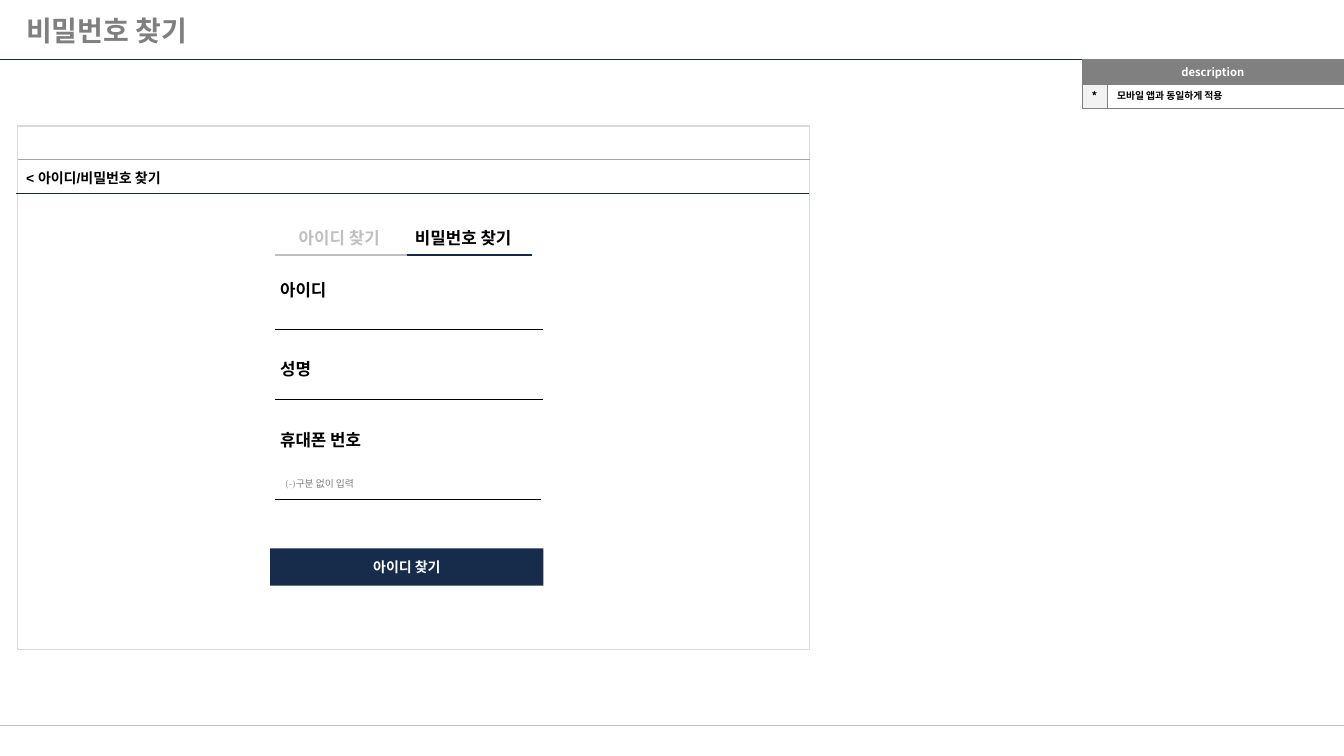
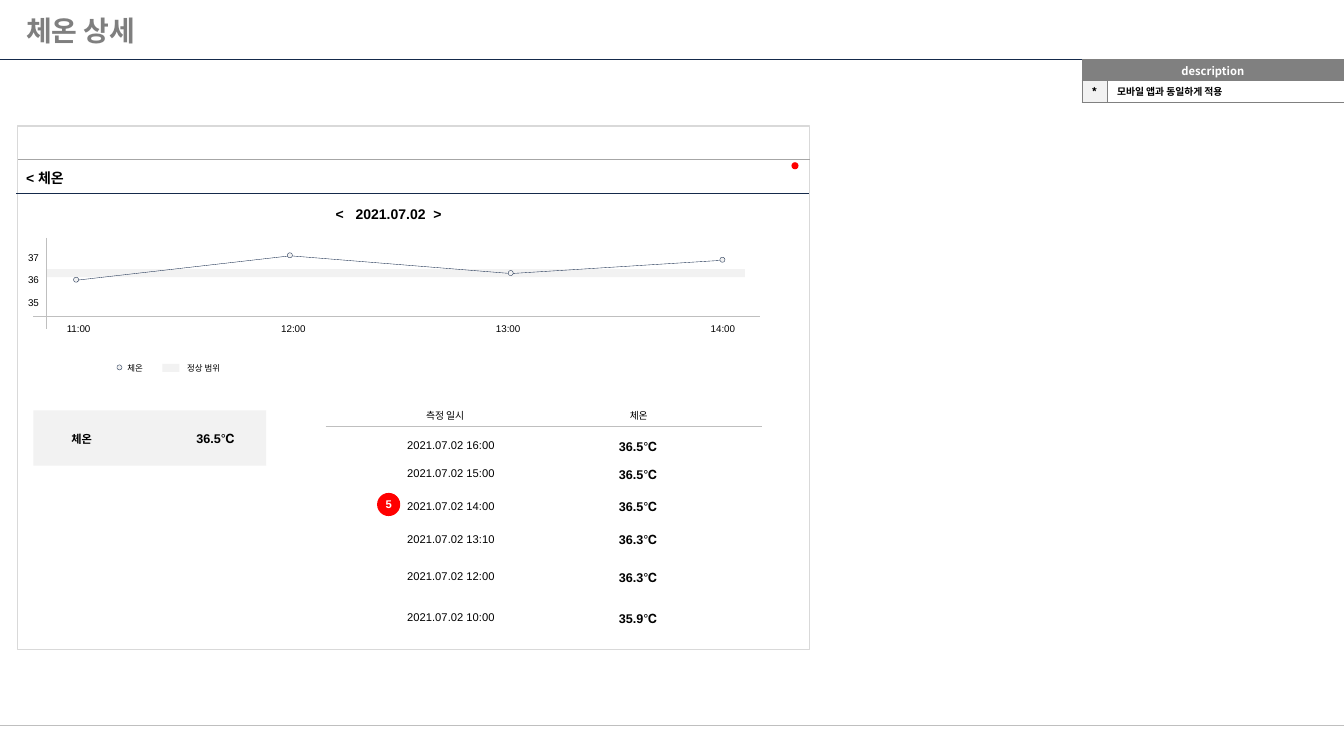
from dataclasses import dataclass
from itertools import pairwise

from lxml import etree
from pptx import Presentation
from pptx import util as u
from pptx.dml.color import RGBColor
from pptx.enum import shapes, text
from pptx.oxml import ns

COLORS = {
    "black": "000000", "white": "FFFFFF", "navy": "152A4B", "button": "172B4B",
    "title": "7F7F7F", "gray": "808080", "rule": "A6A6A6", "silver": "BFBFBF",
    "frame": "D9D9D9", "pale": "F2F2F2", "red": "FF0000",
}
KOREAN = "Noto Sans CJK KR"
LEFT, CENTER = text.PP_ALIGN.LEFT, text.PP_ALIGN.CENTER
TOP, MIDDLE = text.MSO_ANCHOR.TOP, text.MSO_ANCHOR.MIDDLE
RECTANGLE, OVAL = shapes.MSO_SHAPE.RECTANGLE, shapes.MSO_SHAPE.OVAL


@dataclass(frozen=True)
class Box:
    left: float
    top: float
    width: float
    height: float

    def lengths(self) -> list:
        return [u.Inches(v) for v in (self.left, self.top, self.width, self.height)]


@dataclass(frozen=True)
class Field:
    label: str
    label_top: float
    line_top: float
    line_right: float = 5.39


@dataclass(frozen=True)
class Measurement:
    time: str
    value: str
    top: float


@dataclass(frozen=True)
class Point:
    time: str
    x: float
    degrees: float


FIELDS = [
    Field("아이디", 2.73, 3.27),
    Field("성명", 3.51, 3.96),
    Field("휴대폰 번호", 4.21, 4.95, 5.37),
]
MEASUREMENTS = [
    Measurement("16:00", "36.5℃", 4.3),
    Measurement("15:00", "36.5℃", 4.58),
    Measurement("14:00", "36.5℃", 4.9),
    Measurement("13:10", "36.3℃", 5.23),
    Measurement("12:00", "36.3℃", 5.6),
    Measurement("10:00", "35.9℃", 6.01),
]
POINTS = [
    Point("11:00", 0.76, 36.0),
    Point("12:00", 2.88, 37.1),
    Point("13:00", 5.07, 36.3),
    Point("14:00", 7.17, 36.9),
]


def color(name: str) -> RGBColor:
    return RGBColor.from_string(COLORS[name])


# Drawing helpers
def write(frame, content: str, *, size: float, font: str = "Arial", ink: str = "black",
          bold: bool = False, align=LEFT, tabs: tuple = ()) -> None:
    paragraph = frame.paragraphs[0]
    paragraph.alignment = align
    if tabs:
        tab_list = etree.SubElement(paragraph._p.get_or_add_pPr(), ns.qn("a:tabLst"))
        for position in tabs:
            etree.SubElement(tab_list, ns.qn("a:tab"), pos=str(u.Inches(position)), algn="l")
    run = paragraph.add_run()
    run.text = content
    run.font.name = font
    run.font.size = u.Pt(size)
    run.font.bold = bold
    run.font.color.rgb = color(ink)
    etree.SubElement(run._r.get_or_add_rPr(), ns.qn("a:ea"), typeface=KOREAN)


def add_text(slide, box: Box, content: str, *, anchor=TOP, **style) -> None:
    frame = slide.shapes.add_textbox(*box.lengths()).text_frame
    frame.word_wrap = True
    frame.vertical_anchor = anchor
    write(frame, content, **style)


def add_shape(slide, kind, box: Box, fill: str, line: str | None = None, width: float = 0.25):
    shape = slide.shapes.add_shape(kind, *box.lengths())
    shape.shadow.inherit = False
    shape.fill.solid()
    shape.fill.fore_color.rgb = color(fill)
    if line:
        shape.line.color.rgb = color(line)
        shape.line.width = u.Pt(width)
    else:
        shape.line.fill.background()
    return shape


def add_label_shape(slide, kind, box: Box, fill: str, content: str, **style) -> None:
    frame = add_shape(slide, kind, box, fill).text_frame
    frame.margin_left = frame.margin_right = frame.margin_top = frame.margin_bottom = 0
    frame.vertical_anchor = MIDDLE
    frame.word_wrap = False
    write(frame, content, ink="white", bold=True, align=CENTER, **style)


def add_line(slide, x1: float, y1: float, x2: float, y2: float,
             ink: str, width: float = 0.25) -> None:
    ends = [u.Inches(v) for v in (x1, y1, x2, y2)]
    connector = slide.shapes.add_connector(shapes.MSO_CONNECTOR.STRAIGHT, *ends)
    connector.line.color.rgb = color(ink)
    connector.line.width = u.Pt(width)
    etree.SubElement(connector._element.spPr, ns.qn("a:effectLst"))


def add_marker(slide, x: float, y: float) -> None:
    add_shape(slide, OVAL, Box(x - 0.03, y - 0.03, 0.05, 0.05), "pale", "button")


# Description table
def format_cell(cell, fill: str | None, margin: float) -> None:
    cell.vertical_anchor = MIDDLE
    cell.margin_left = cell.margin_right = u.Inches(margin)
    cell.margin_top = cell.margin_bottom = u.Inches(0.02)
    properties = cell._tc.get_or_add_tcPr()
    for side in ("lnL", "lnR", "lnT", "lnB"):
        border = etree.SubElement(properties, ns.qn(f"a:{side}"), w=str(u.Pt(0.25)))
        solid = etree.SubElement(border, ns.qn("a:solidFill"))
        etree.SubElement(solid, ns.qn("a:srgbClr"), val=COLORS["gray"])
    if fill:
        cell.fill.solid()
        cell.fill.fore_color.rgb = color(fill)
    else:
        cell.fill.background()


def add_description(slide, row_height: float) -> None:
    box = Box(10.73, 0.59, 2.6, 2 * row_height)
    table = slide.shapes.add_table(2, 2, *box.lengths()).table
    for column, width in zip(table.columns, (0.25, 2.35)):
        column.width = u.Inches(width)
    for row in table.rows:
        row.height = u.Inches(row_height)
    header, star, note = table.cell(0, 0), table.cell(1, 0), table.cell(1, 1)
    for cell, fill, margin in ((header, "gray", 0.04), (table.cell(0, 1), "gray", 0.04),
                               (star, "pale", 0.04), (note, None, 0.1)):
        format_cell(cell, fill, margin)
    header.merge(table.cell(0, 1))
    style = {"font": KOREAN, "bold": True}
    write(header.text_frame, "description", size=8, ink="white", align=CENTER, **style)
    write(star.text_frame, "*", size=8, align=CENTER, **style)
    write(note.text_frame, "모바일 앱과 동일하게 적용", size=7, **style)


# Parts shared by every slide
def add_page(presentation, title: str, screen_title: str, row_height: float):
    slide = presentation.slides.add_slide(presentation.slide_layouts[6])
    add_line(slide, 0, 7.2, 13.33, 7.2, "silver", 1)
    add_line(slide, 0, 0.59, 13.33, 0.59, "navy", 0.75)
    add_shape(slide, RECTANGLE, Box(0.17, 1.25, 7.86, 5.19), "white", "frame", 0.75)
    add_line(slide, 0.18, 1.58, 8.03, 1.58, "rule")
    add_text(slide, Box(0.16, 0.03, 13.03, 0.54), title, size=20, font="Quicksand",
             ink="title", bold=True, anchor=MIDDLE)
    add_text(slide, Box(0.16, 1.63, 3, 0.28), screen_title, size=10, bold=True)
    add_line(slide, 0.16, 1.92, 8.02, 1.92, "navy")
    add_description(slide, row_height)
    return slide


# Slide 1: password search form
def add_password_slide(presentation) -> None:
    slide = add_page(presentation, "비밀번호 찾기", "< 아이디/비밀번호 찾기", 0.24)
    heading = {"size": 12, "font": "Cambria", "bold": True}
    add_line(slide, 2.73, 2.53, 5.28, 2.53, "silver", 0.75)
    add_line(slide, 4.04, 2.53, 5.28, 2.53, "navy", 1.5)
    for left, label, ink in ((2.73, "아이디 찾기", "silver"), (3.96, "비밀번호 찾기", "black")):
        add_text(slide, Box(left, 2.21, 1.27, 0.3), label, ink=ink, align=CENTER, **heading)
    for field in FIELDS:
        add_text(slide, Box(2.68, field.label_top, 1.27, 0.3), field.label, **heading)
        add_line(slide, 2.73, field.line_top, field.line_right, field.line_top, "black")
    add_text(slide, Box(2.73, 4.69, 1.27, 0.22), "(-)구분 없이 입력", size=7,
             font="Cambria", ink="gray")
    add_label_shape(slide, RECTANGLE, Box(2.68, 5.44, 2.71, 0.37), "button",
                    "아이디 찾기", size=10, font="Cambria")


# Slide 2: temperature graph and readings
def degrees_y(degrees: float) -> float:
    return 2.78 - 0.22 * (degrees - 36)


def add_graph(slide) -> None:
    add_line(slide, 0.33, 3.14, 7.54, 3.14, "silver", 0.75)
    add_shape(slide, RECTANGLE, Box(0.46, 2.67, 6.93, 0.08), "pale")
    add_line(slide, 0.46, 2.36, 0.46, 3.26, "silver", 0.75)
    for degrees in (35, 36, 37):
        add_text(slide, Box(0.18, degrees_y(degrees) - 0.11, 0.35, 0.22), str(degrees), size=7)
    for start, end in pairwise(POINTS):
        add_line(slide, start.x, degrees_y(start.degrees), end.x, degrees_y(end.degrees), "navy")
    for index, point in enumerate(POINTS):
        add_marker(slide, point.x, degrees_y(point.degrees))
        add_text(slide, Box(0.43 + 2.13 * index, 3.15, 0.7, 0.22), point.time,
                 size=7, align=CENTER)
    # Legend
    add_marker(slide, 1.19, 3.65)
    add_shape(slide, RECTANGLE, Box(1.61, 3.61, 0.17, 0.08), "pale")
    for left, label in ((0.99, "체온"), (1.67, "정상 범위")):
        add_text(slide, Box(left, 3.55, 0.7, 0.2), label, size=6, align=CENTER)


def add_readings(slide) -> None:
    for left, label in ((4.01, "측정 일시"), (5.93, "체온")):
        add_text(slide, Box(left, 4.02, 0.81, 0.22), label, size=7, align=CENTER)
    add_line(slide, 3.23, 4.23, 7.56, 4.23, "silver")
    for reading in MEASUREMENTS:
        add_text(slide, Box(3.94, reading.top, 1.24, 0.24), f"2021.07.02 {reading.time}", size=8)
        add_text(slide, Box(6.04, reading.top, 0.68, 0.25), reading.value, size=9, bold=True)
    add_label_shape(slide, OVAL, Box(3.74, 4.89, 0.23, 0.23), "red", "5", size=8)


def add_temperature_slide(presentation) -> None:
    slide = add_page(presentation, "체온 상세", "< 체온", 0.21)
    add_shape(slide, OVAL, Box(7.85, 1.61, 0.07, 0.07), "red")
    add_text(slide, Box(3.23, 1.99, 1.5, 0.27), "<\t2021.07.02\t>", size=10, bold=True,
             tabs=(0.2, 0.97))
    add_graph(slide)
    # Latest reading
    add_shape(slide, RECTANGLE, Box(0.33, 4.07, 2.31, 0.55), "pale")
    add_text(slide, Box(0.61, 4.24, 0.82, 0.24), "체온", size=8, bold=True)
    add_text(slide, Box(1.85, 4.23, 0.68, 0.25), "36.5℃", size=9, bold=True)
    add_readings(slide)


def main() -> None:
    presentation = Presentation()
    presentation.slide_width = u.Inches(13.33)
    presentation.slide_height = u.Inches(7.5)
    add_password_slide(presentation)
    add_temperature_slide(presentation)
    presentation.save("out.pptx")


if __name__ == "__main__":
    main()
